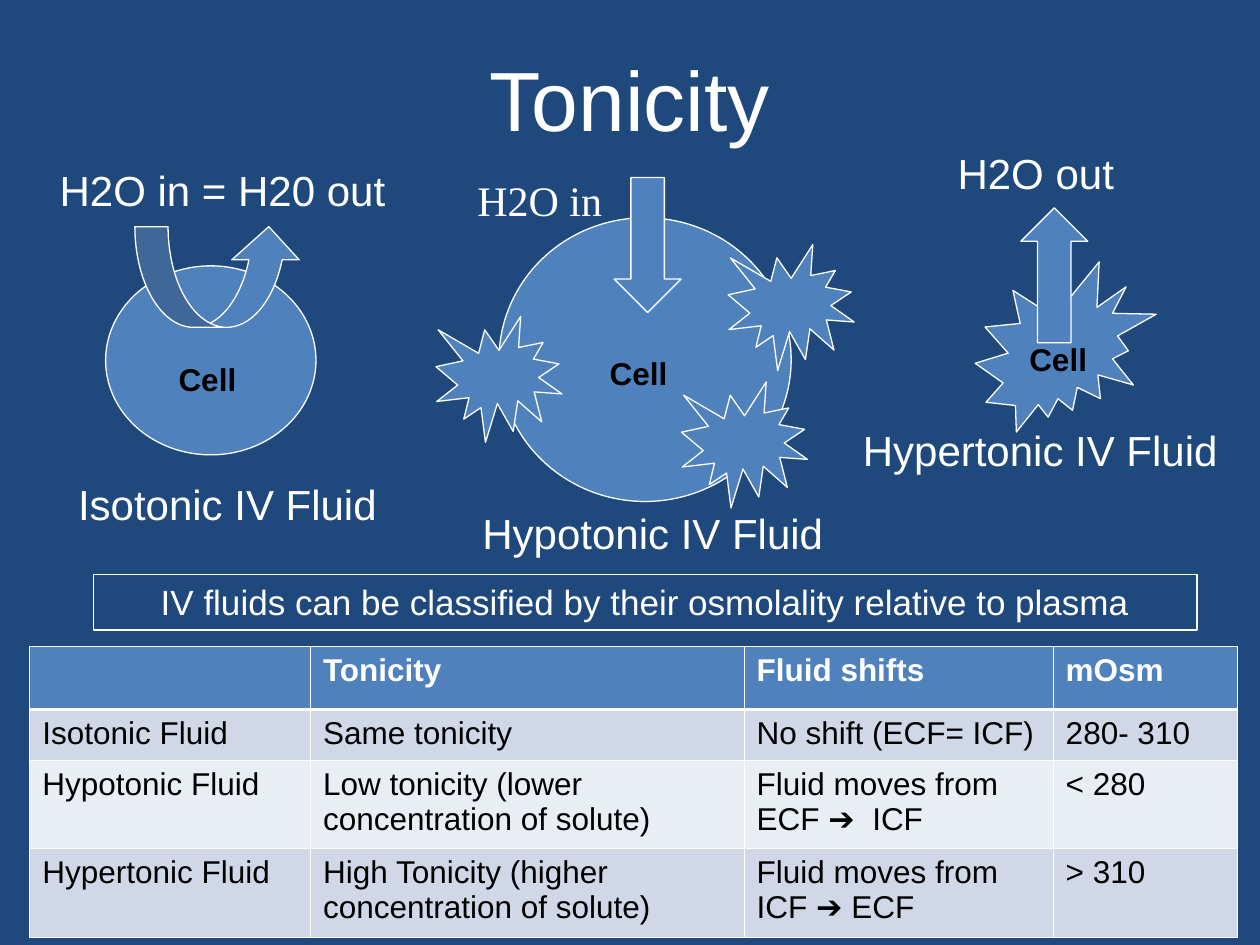
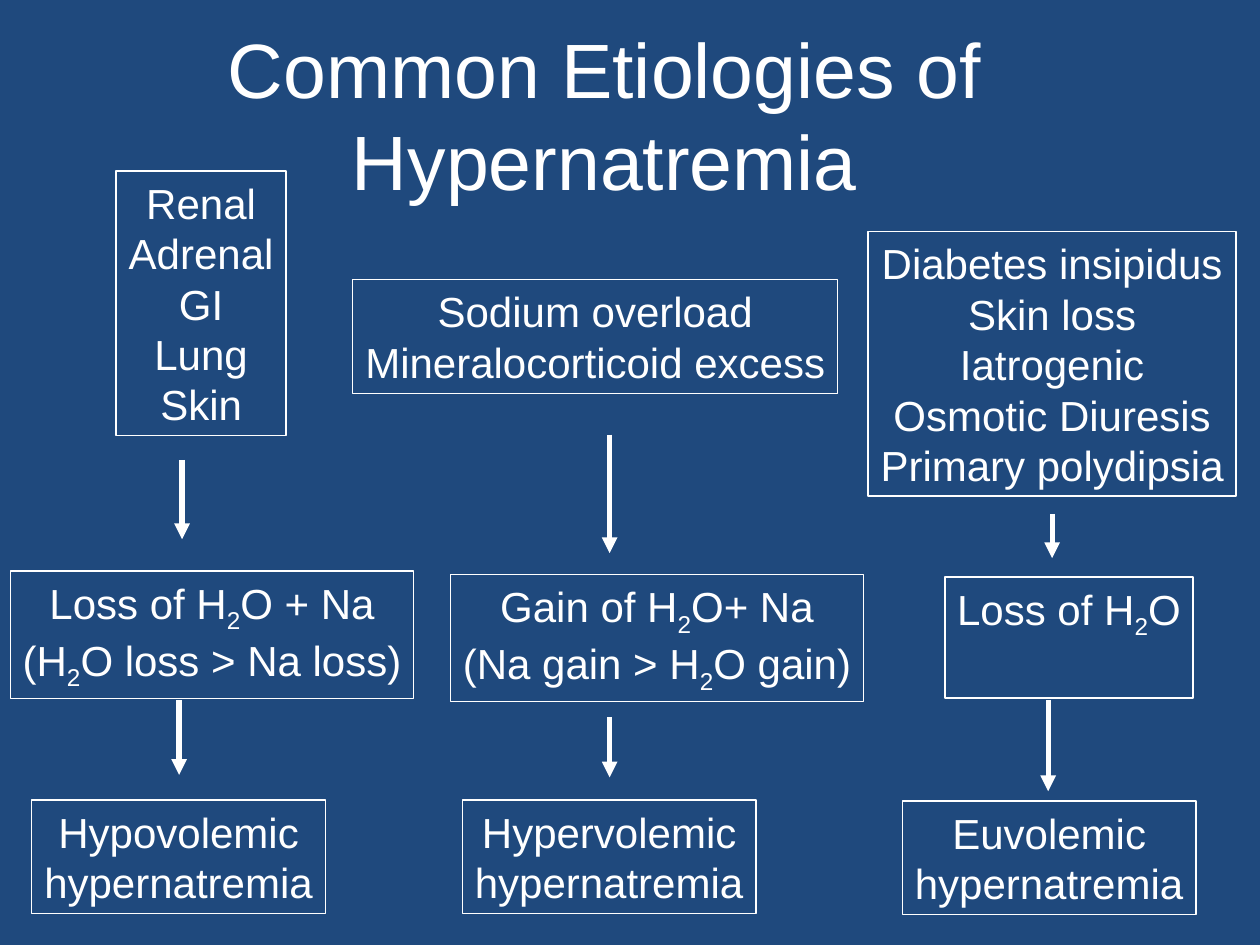
from lxml.etree import SubElement
from pptx import Presentation
from pptx.dml.color import RGBColor
from pptx.enum.shapes import MSO_CONNECTOR, MSO_SHAPE
from pptx.enum.text import MSO_ANCHOR, PP_ALIGN
from pptx.oxml.ns import qn
from pptx.util import Cm, Pt

HUES = {"back": "1F497D", "cell": "4F81BD", "white": "FFFFFF",
        "black": "000000", "odd": "D0D8E8", "even": "E9EDF4"}
FACE = "Arial"

TITLES = [
    ("Tonicity", 48, (1.27, 0.76, 22.86, 2.41)),
    ("Common Etiologies of Hypernatremia", 44, (0.76, 0.43, 22.86, 3.73)),
]

CELLS = [
    (MSO_SHAPE.EXPLOSION2, (19.66, 5.28, 3.65, 3.43)),
    (MSO_SHAPE.FLOWCHART_CONNECTOR, (2.13, 5.36, 4.24, 3.81)),
    (MSO_SHAPE.FLOWCHART_CONNECTOR, (10.06, 4.39, 5.89, 5.72)),
    (MSO_SHAPE.EXPLOSION1, (14.68, 4.93, 2.54, 2.54)),
    (MSO_SHAPE.EXPLOSION1, (13.74, 7.7, 2.54, 2.54)),
    (MSO_SHAPE.EXPLOSION1, (8.79, 6.38, 2.54, 2.54)),
]
FLOWS = [
    (MSO_SHAPE.CURVED_UP_ARROW, (2.72, 4.57, 3.38, 2.03), (0.33, 0.67, 0.33), 0),
    (MSO_SHAPE.UP_ARROW, (20.58, 4.19, 1.35, 2.72), (0.5, 0.5), 0),
    (MSO_SHAPE.UP_ARROW, (12.38, 3.58, 1.35, 2.72), (0.5, 0.5), 180),
]
LABELS = [
    ("H2O out", (19.05, 2.84, 3.66, 1.27), FACE),
    ("H2O in = H20 out", (0.66, 3.2, 7.65, 1.27), FACE),
    ("H2O in", (9.37, 3.4, 3.02, 1.27), "Times New Roman"),
    ("Hypotonic IV Fluid", (9.35, 10.11, 7.62, 1.27), FACE),
    ("Isotonic IV Fluid", (0.84, 9.53, 7.49, 1.27), FACE),
    ("Hypertonic IV Fluid", (17.12, 8.43, 7.7, 1.27), FACE),
]
NAMES = [(3.35, 7.14), (12.04, 7.01), (20.5, 6.73)]
BANNER = ("IV fluids can be classified by their osmolality relative to plasma",
          (1.88, 11.58, 22.25, 1.12))

ROWS = [
    ("", "Tonicity", "Fluid shifts", "mOsm"),
    ("Isotonic Fluid", "Same tonicity", "No shift (ECF= ICF)", "280- 310"),
    ("Hypotonic Fluid", "Low tonicity (lower concentration of solute)",
     "Fluid moves from ECF ➔  ICF", "< 280"),
    ("Hypertonic Fluid", "High Tonicity (higher concentration of solute)",
     "Fluid moves from ICF ➔ ECF", "> 310"),
]
WIDTHS = (5.66, 8.74, 6.23, 3.71)
HEIGHTS = (1.27, 1.03, 1.77, 1.77)

BOXES = [
    (["Hypovolemic", "hypernatremia"], (0.64, 16.13, 5.92, 2.29)),
    (["Hypervolemic", "hypernatremia"], (9.32, 16.13, 5.92, 2.29)),
    (["Euvolemic", "hypernatremia"], (18.19, 16.15, 5.92, 2.29)),
    (["Loss of H_2_O + Na", "(H_2_O loss > Na loss)"], (0.21, 11.51, 8.13, 2.57)),
    (["Gain of H_2_O+ Na", "(Na gain > H_2_O gain)"], (9.08, 11.58, 8.33, 2.57)),
    (["Loss of H_2_O"], (19.05, 11.63, 5, 2.44)),
    (["Renal", "Adrenal", "GI", "Lung", "Skin"], (2.34, 3.45, 3.43, 5.33)),
    (["Sodium overload", "Mineralocorticoid excess"], (7.11, 5.64, 9.78, 2.29)),
    (["Diabetes insipidus", "Skin loss", "Iatrogenic", "Osmotic Diuresis",
      "Primary polydipsia"], (17.5, 4.67, 7.42, 5.33)),
]
ARROWS = [
    (3.61, 14.12, 15.62), (3.67, 9.27, 10.87), (12.29, 14.45, 15.67),
    (12.29, 8.76, 11.15), (21.13, 14.12, 15.95), (21.21, 10.36, 11.25),
]


def tint(name):
    return RGBColor.from_string(HUES[name])


def place(spot):
    return [Cm(n) for n in spot]


def style(para, size, hue="white", face=FACE, bold=False):
    font = para.font
    font.size, font.name, font.bold = Pt(size), face, bold
    font.color.rgb = tint(hue)


def edge(shape):
    shape.line.color.rgb = tint("white")
    shape.line.width = Pt(0.75)


def begin(deck, text, size, spot):
    slide = deck.slides.add_slide(deck.slide_layouts[5])
    title = slide.shapes.title
    title.left, title.top, title.width, title.height = place(spot)
    frame = title.text_frame
    frame.text = text
    frame.vertical_anchor = MSO_ANCHOR.MIDDLE
    para = frame.paragraphs[0]
    para.alignment = PP_ALIGN.CENTER
    style(para, size)
    return slide


def write(slide, lines, spot, size=24, align=PP_ALIGN.CENTER, wrap=False, **look):
    box = slide.shapes.add_textbox(*place(spot))
    frame = box.text_frame
    frame.word_wrap = wrap
    if not wrap:
        frame.margin_left = frame.margin_right = Cm(0.1)
    for i, line in enumerate(lines):
        para = frame.paragraphs[0] if i == 0 else frame.add_paragraph()
        para.alignment = align
        style(para, size, **look)
        for j, part in enumerate(line.split("_")):
            run = para.add_run()
            run.text = part
            if j % 2:
                run._r.get_or_add_rPr().set("baseline", "-25000")
    return box


def draw(slide, kind, spot):
    shape = slide.shapes.add_shape(kind, *place(spot))
    shape.shadow.inherit = False
    shape.fill.solid()
    shape.fill.fore_color.rgb = tint("cell")
    edge(shape)
    return shape


def border(cell, row):
    props = cell._tc.get_or_add_tcPr()
    thick = {0: "lnB", 1: "lnT"}.get(row)
    for side in ("lnL", "lnR", "lnT", "lnB"):
        width = Pt(1.5 if side == thick else 0.5)
        line = SubElement(props, qn("a:" + side), w=str(width))
        fill = SubElement(line, qn("a:solidFill"))
        SubElement(fill, qn("a:srgbClr"), val=HUES["white"])


def chart(slide):
    spot = (0.6, 13.03, sum(WIDTHS), sum(HEIGHTS))
    table = slide.shapes.add_table(len(ROWS), len(WIDTHS), *place(spot)).table
    for col, width in zip(table.columns, WIDTHS):
        col.width = Cm(width)
    for r, (row, height) in enumerate(zip(ROWS, HEIGHTS)):
        table.rows[r].height = Cm(height)
        head = r == 0
        for c, text in enumerate(row):
            cell = table.cell(r, c)
            cell.text = text
            border(cell, r)
            cell.fill.solid()
            cell.fill.fore_color.rgb = tint("cell" if head else "odd" if r % 2 else "even")
            style(cell.text_frame.paragraphs[0], 18,
                  "white" if head else "black", bold=head)


def point(slide, x, top, end):
    line = slide.shapes.add_connector(MSO_CONNECTOR.STRAIGHT, *place((x, top, x, end)))
    line.line.color.rgb = tint("white")
    line.line.width = Pt(3)
    SubElement(line.line._get_or_add_ln(), qn("a:tailEnd"), type="triangle")
    SubElement(line._element.spPr, qn("a:effectLst"))


def tonic(deck):
    slide = begin(deck, *TITLES[0])
    for kind, spot in CELLS:
        draw(slide, kind, spot)
    for kind, spot, bends, turn in FLOWS:
        arrow = draw(slide, kind, spot)
        arrow.rotation = turn
        for i, bend in enumerate(bends):
            arrow.adjustments[i] = bend
    for text, spot, face in LABELS:
        write(slide, [text], spot, face=face)
    text, spot = BANNER
    edge(write(slide, [text], spot, 20, wrap=True))
    chart(slide)
    for x, y in NAMES:
        write(slide, ["Cell"], (x, y, 2.11, 1.02), 18, PP_ALIGN.LEFT, True,
              hue="black", bold=True)


def causes(deck):
    slide = begin(deck, *TITLES[1])
    for lines, spot in BOXES:
        edge(write(slide, lines, spot))
    for arrow in ARROWS:
        point(slide, *arrow)


def main():
    deck = Presentation()
    deck.slide_width, deck.slide_height = Cm(25.4), Cm(19.05)
    fill = deck.slide_master.background.fill
    fill.solid()
    fill.fore_color.rgb = tint("back")
    tonic(deck)
    causes(deck)
    deck.save("out.pptx")


if __name__ == "__main__":
    main()
